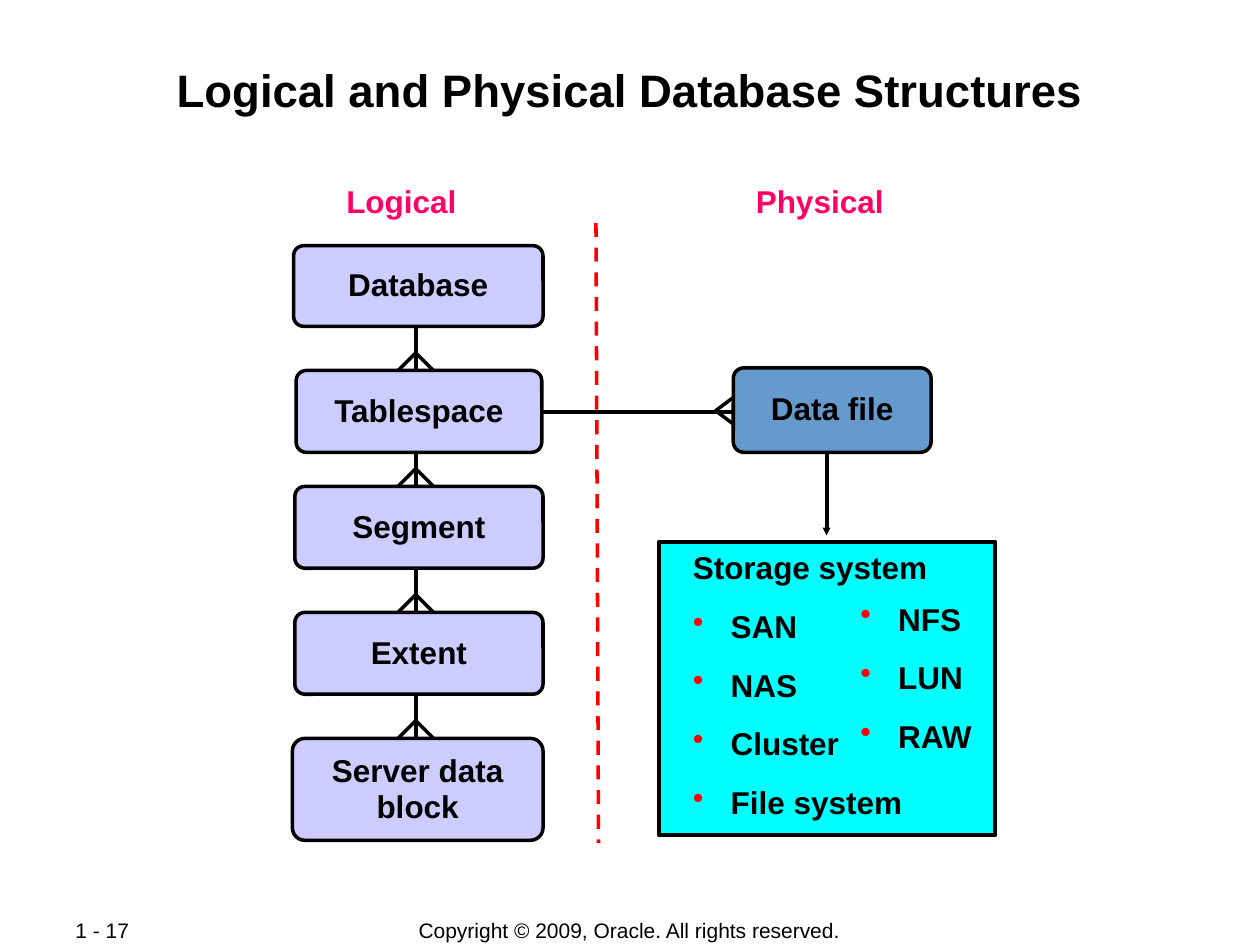
from dataclasses import dataclass
from lxml.etree import SubElement as Sub
from pptx import Presentation
from pptx.dml.color import RGBColor as Color
from pptx.enum.dml import MSO_LINE as Dash
from pptx.enum.shapes import MSO_CONNECTOR as Link, MSO_SHAPE as Form
from pptx.enum.text import MSO_ANCHOR as Anchor, PP_ALIGN as Align
from pptx.oxml.ns import qn
from pptx.util import Inches, Pt


@dataclass(frozen=True)
class Theme:
    font: str = "Arial"
    ink: str = "000000"
    pink: str = "FF0066"
    red: str = "FF0000"
    lilac: str = "CCCCFF"
    blue: str = "6699CC"
    cyan: str = "00FFFF"
    title: int = 26
    body: int = 18
    foot: int = 12
    thin: float = 2
    thick: float = 2.25


look = Theme()
deck = Presentation()
deck.slide_width, deck.slide_height = Inches(10), Inches(7.5)
page = deck.slides.add_slide(deck.slide_layouts[6])
shapes = page.shapes

# Grid: 100 columns by 75 rows
col, row = deck.slide_width // 100, deck.slide_height // 75


def write(shape, lines, size=look.body, tone=look.ink, bold=True, align=Align.LEFT,
          anchor=Anchor.TOP, pad=(0.1, 0.05), wrap=False, gap=1, first=0):
    """Fill a shape with text; paragraphs from index `first` on get bullets."""
    frame = shape.text_frame
    frame.word_wrap, frame.vertical_anchor = wrap, anchor
    frame.margin_left = frame.margin_right = Inches(pad[0])
    frame.margin_top = frame.margin_bottom = Inches(pad[1])
    for i, line in enumerate(lines):
        para = frame.paragraphs[0] if i == 0 else frame.add_paragraph()
        para.alignment, para.line_spacing = align, gap
        if i:
            para.space_before = Pt(12)
        if first is not None and i >= first:
            props = para._p.get_or_add_pPr()
            props.set("marL", str(3 * col))
            props.set("indent", str(-3 * col))
            Sub(Sub(props, qn("a:buClr")), qn("a:srgbClr"), val=look.red)
            Sub(props, qn("a:buChar"), char="•")
        for j, part in enumerate(line.split("\n")):
            if j:
                para.add_line_break()
            run = para.add_run()
            run.text = part
            font = run.font
            font.name, font.size, font.bold = look.font, Pt(size), bold
            font.color.rgb = Color.from_string(tone)


def paint(shape, tone=None, width=look.thin):
    """Give a shape its outline and a plain or empty fill."""
    shape.shadow.inherit = False
    if tone:
        shape.fill.solid()
        shape.fill.fore_color.rgb = Color.from_string(tone)
    else:
        shape.fill.background()
    shape.line.color.rgb = Color.from_string(look.ink)
    shape.line.width = Pt(width)


# Title, column heads and footer
mid, top = Anchor.MIDDLE, Anchor.TOP
for x, y, w, h, text, style in (
    (6.7, 4.8, 86.6, 9.6, "Logical and Physical Database Structures",
     dict(size=look.title, align=Align.CENTER, pad=(0.01, 0.01), wrap=True)),
    (26.5, 14.4, 10.8, 3.6, "Logical", dict(tone=look.pink, gap=0.85)),
    (59, 14.4, 12.2, 3.6, "Physical", dict(tone=look.pink, gap=0.85)),
    (27.5, 72.8, 44.9, 2.1, "Copyright © 2009, Oracle. All rights reserved.",
     dict(size=look.foot, bold=False, align=Align.CENTER, anchor=mid)),
    (5, 72.8, 10.6, 2, "1 - 17", dict(size=look.foot, bold=False, anchor=mid)),
):
    box = shapes.add_textbox(int(x * col), int(y * row), int(w * col), int(h * row))
    write(box, [text], first=None, **style)

# Links, divider and arrow
for x1, y1, x2, y2, tone, width, dash, head in (
    (33, 20.2, 33, 62.7, look.ink, look.thin, None, False),
    (33, 32.7, 65.6, 32.7, look.ink, look.thin, None, False),
    (47.3, 17.7, 47.5, 66.9, look.red, look.thin, Dash.DASH, False),
    (65.6, 35.4, 65.6, 42.5, look.ink, look.thick, None, True),
):
    link = shapes.add_connector(Link.STRAIGHT, int(x1 * col), int(y1 * row),
                                int(x2 * col), int(y2 * row))
    link.line.color.rgb = Color.from_string(tone)
    link.line.width = Pt(width)
    if dash:
        link.line.dash_style = dash
    if head:
        Sub(link.line._get_or_add_ln(), qn("a:tailEnd"),
            type="triangle", w="sm", len="sm")
    Sub(link._element.spPr, qn("a:effectLst"))

# Boxes: left, top, width, height, colour, label
boxes = (
    (23.3, 19.5, 19.8, 6.4, look.lilac, "Database"),
    (23.5, 29.4, 19.5, 6.5, look.lilac, "Tablespace"),
    (23.4, 38.6, 19.7, 6.5, look.lilac, "Segment"),
    (23.4, 48.6, 19.7, 6.5, look.lilac, "Extent"),
    (23.2, 58.6, 19.9, 8.1, look.lilac, "Server data\nblock"),
    (58.2, 29.2, 15.7, 6.7, look.blue, "Data file"),
)

# Crow's feet above each lower logical box, and one beside the data file
feet = [((30.5, y + 1.1), (33, y - 1.4), (35.5, y + 1.1))
        for _, y, *_ in boxes[1:5]]
feet.append(((58.4, 31.4), (56.8, 32.6), (58.4, 33.8)))
for foot in feet:
    start, *rest = [(int(x * col), int(y * row)) for x, y in foot]
    pen = shapes.build_freeform(*start)
    pen.add_line_segments(rest, close=False)
    paint(pen.convert_to_shape())

for x, y, w, h, tone, label in boxes:
    box = shapes.add_shape(Form.ROUNDED_RECTANGLE, int(x * col), int(y * row),
                           int(w * col), int(h * row))
    box.adjustments[0] = 0.125
    paint(box, tone)
    write(box, [label], align=Align.CENTER, anchor=mid, pad=(0.05, 0.05),
          gap=0.95, first=None)

# Storage panel with its two lists
panel = shapes.add_shape(Form.RECTANGLE, int(52.3 * col), 43 * row,
                         int(26.7 * col), int(23.3 * row))
paint(panel, look.cyan, look.thick)
for x, y, w, h, first, items in (
    (54, 43, 24.2, 22.3, 1,
     ("Storage system", "SAN", "NAS", "Cluster", "File system")),
    (67.3, 47.1, 11.7, 13.2, 0, ("NFS", "LUN", "RAW")),
):
    box = shapes.add_textbox(int(x * col), int(y * row), int(w * col), int(h * row))
    write(box, items, wrap=True, first=first)

deck.save("out.pptx")
